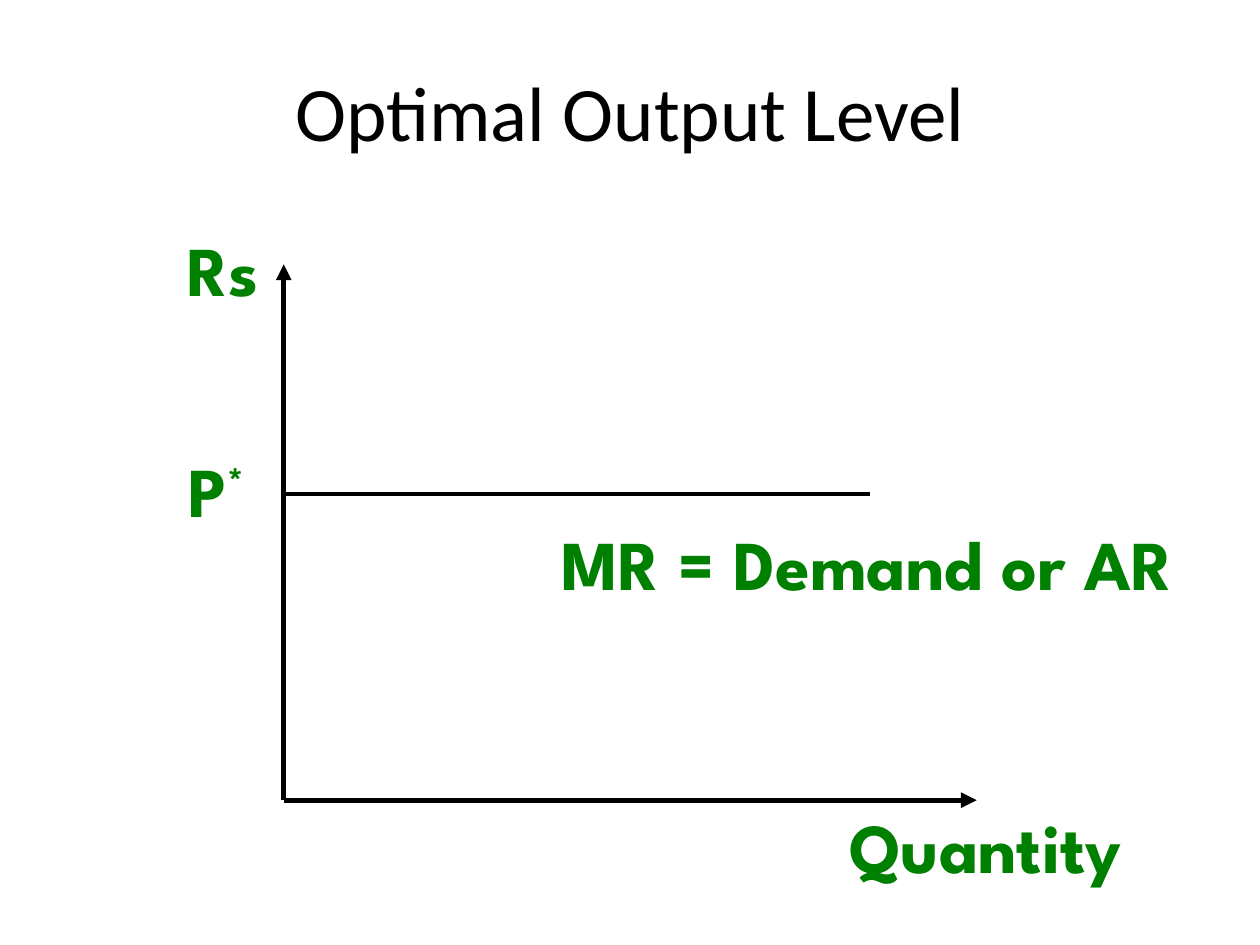
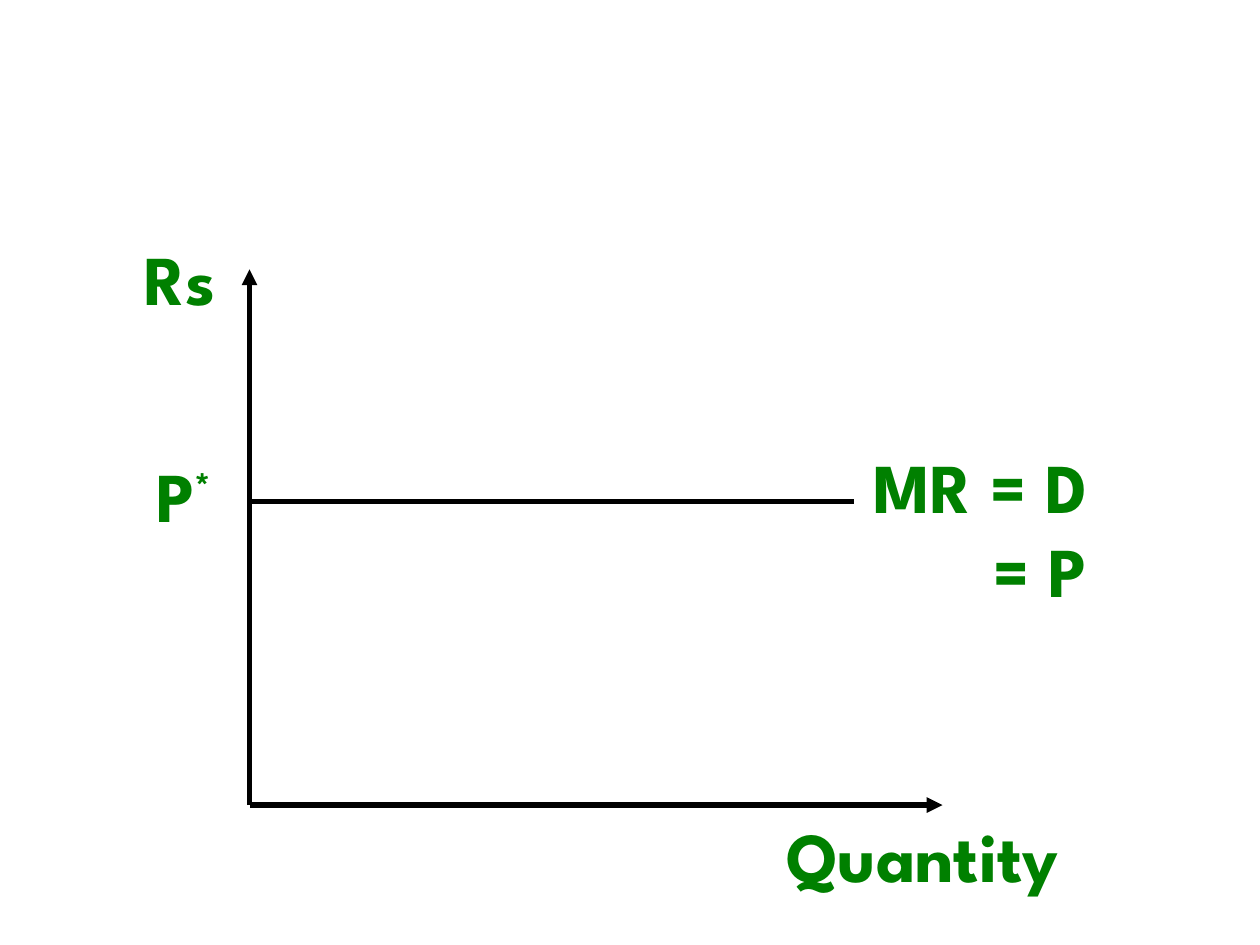
from lxml.etree import SubElement
from pptx import Presentation
from pptx.dml.color import RGBColor
from pptx.enum.shapes import MSO_CONNECTOR
from pptx.enum.text import MSO_ANCHOR, PP_ALIGN
from pptx.oxml.ns import qn
from pptx.util import Cm, Pt

BLACK = RGBColor(0x00, 0x00, 0x00)
GREEN = RGBColor(0x00, 0x80, 0x00)
TITLE_FONT, LABEL_FONT = "Calibri", "League Spartan"
SUPERSCRIPT = "30000"

# All lengths are in centimetres.
AXIS_HEIGHT, AXIS_WIDTH = 10.8, 13.97
LABEL_HEIGHT = 1.96
RS_WIDTH, PRICE_WIDTH, QUANTITY_WIDTH = 2.13, 1.83, 6.78

GRAPHS = [
    {
        "title": "Optimal Output Level",
        "origin": (5.72, 16.13),
        "price_end": (17.53, 9.96),
        "rs_at": (3.43, 4.45),
        "price_at": (3.45, 8.89),
        "quantity_at": (16.48, 16.08),
        "revenue": ["MR = Demand or AR"],
        "revenue_box": (10.29, 10.36, 14.38, LABEL_HEIGHT),
        "revenue_align": PP_ALIGN.CENTER,
    },
    {
        "title": None,
        "origin": (5.03, 16.23),
        "price_end": (17.22, 10.11),
        "rs_at": (2.57, 4.62),
        "price_at": (2.79, 8.99),
        "quantity_at": (15.21, 16.26),
        "revenue": ["MR = D", "= P"],
        "revenue_box": (17.12, 8.81, 5.05, 3.66),
        "revenue_align": PP_ALIGN.RIGHT,
    },
]


def add_line(slide, start, end, weight, arrow=False):
    line = slide.shapes.add_connector(
        MSO_CONNECTOR.STRAIGHT, *(Cm(value) for value in (*start, *end)))
    line.line.color.rgb = BLACK
    line.line.width = Pt(weight)
    if arrow:
        SubElement(line.line._get_or_add_ln(), qn("a:tailEnd"), type="triangle")
    SubElement(line._element.spPr, qn("a:effectLst"))


def add_text(slide, box, lines, font=LABEL_FONT, size=40, color=GREEN, bold=True,
             align=PP_ALIGN.CENTER, anchor=MSO_ANCHOR.TOP, wrap=False):
    """Write each line as a paragraph and return the last run's paragraph."""
    frame = slide.shapes.add_textbox(*(Cm(value) for value in box)).text_frame
    frame.word_wrap = wrap
    frame.vertical_anchor = anchor
    for index, line in enumerate(lines):
        paragraph = frame.add_paragraph() if index else frame.paragraphs[0]
        paragraph.alignment = align
        for text, raised in line:
            run = paragraph.add_run()
            run.text = text
            run.font.name, run.font.size, run.font.bold = font, Pt(size), bold
            run.font.color.rgb = color
            if raised:
                run._r.get_or_add_rPr().set("baseline", SUPERSCRIPT)


def plain(*texts):
    """Turn texts into lines of one ordinary run each."""
    return [[(text, False)] for text in texts]


def draw_axes(slide, origin, price_end):
    left, bottom = origin
    add_line(slide, origin, (left, bottom - AXIS_HEIGHT), 3, arrow=True)
    add_line(slide, origin, (left + AXIS_WIDTH, bottom), 3, arrow=True)
    add_line(slide, (left, price_end[1]), price_end, 2.5)


def draw_labels(slide, graph):
    add_text(slide, (*graph["rs_at"], RS_WIDTH, LABEL_HEIGHT), plain("Rs"))
    add_text(slide, (*graph["price_at"], PRICE_WIDTH, LABEL_HEIGHT),
             [[("P", False), ("*", True)]], anchor=MSO_ANCHOR.MIDDLE)
    add_text(slide, (*graph["quantity_at"], QUANTITY_WIDTH, LABEL_HEIGHT),
             plain("Quantity"))
    align = graph["revenue_align"]
    add_text(slide, graph["revenue_box"], plain(*graph["revenue"]),
             align=align, wrap=align == PP_ALIGN.RIGHT)


def main():
    deck = Presentation()
    deck.slide_width, deck.slide_height = Cm(25.4), Cm(19.05)
    for graph in GRAPHS:
        slide = deck.slides.add_slide(deck.slide_layouts[6])
        draw_axes(slide, graph["origin"], graph["price_end"])
        draw_labels(slide, graph)
        if graph["title"]:
            add_text(slide, (1.91, 0.64, 21.59, 3.18), plain(graph["title"]),
                     font=TITLE_FONT, size=44, color=BLACK, bold=False,
                     anchor=MSO_ANCHOR.MIDDLE, wrap=True)
    deck.save("out.pptx")


if __name__ == "__main__":
    main()
